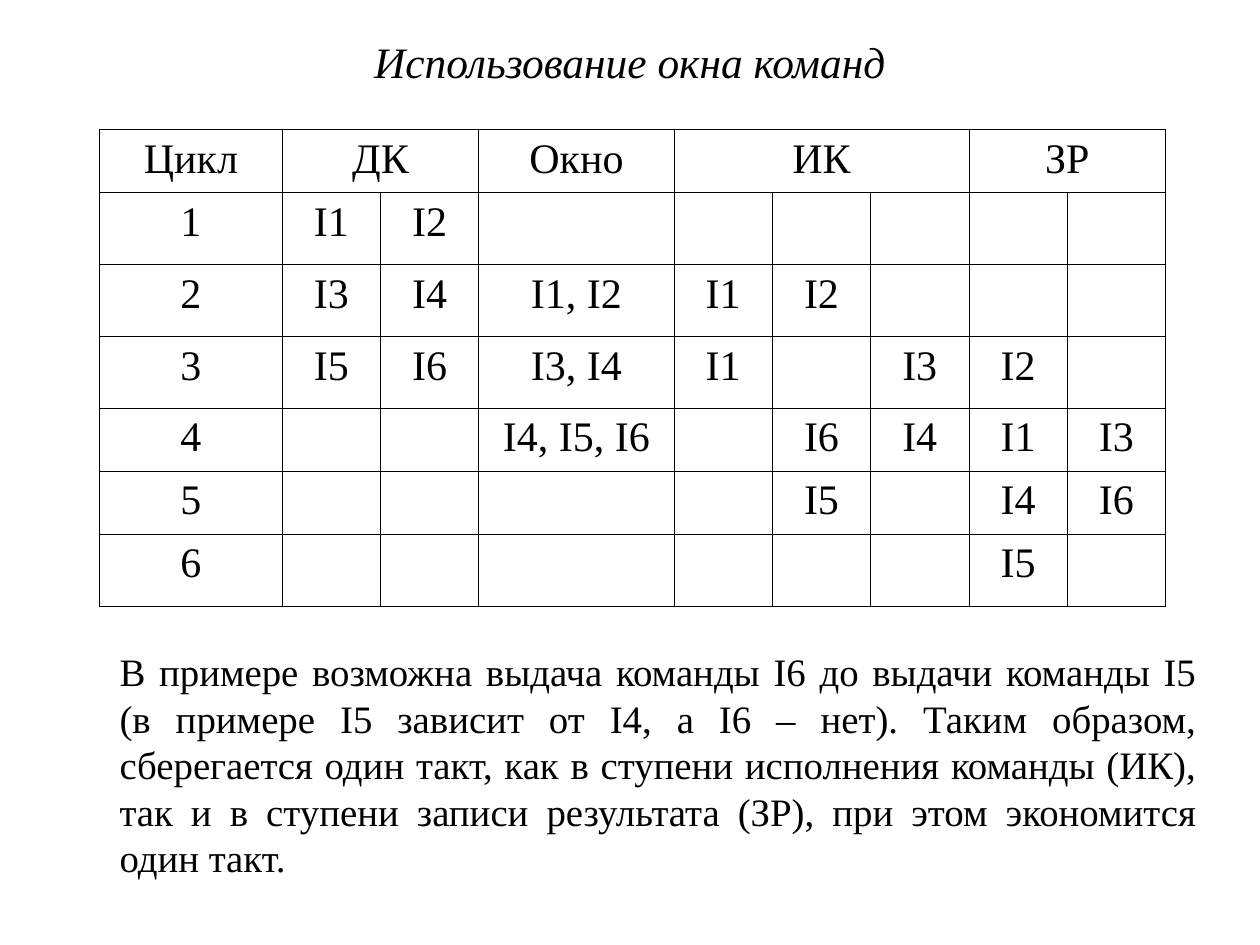
from pptx import Presentation
from pptx.dml.color import RGBColor
from pptx.enum.text import MSO_ANCHOR, PP_ALIGN
from pptx.oxml.ns import qn
from pptx.util import Inches, Pt
from lxml import etree

CENTER = PP_ALIGN.CENTER
JUSTIFY = PP_ALIGN.JUSTIFY
MIDDLE = MSO_ANCHOR.MIDDLE
TOP = MSO_ANCHOR.TOP

BLACK = RGBColor(0, 0, 0)
FONT_NAME = "Times New Roman"
BORDER_WIDTH = Pt(0.45)

TITLE = "Использование окна команд"
CONCLUSION = (
    "В примере возможна выдача команды I6 до выдачи команды I5 "
    "(в примере I5 зависит от I4, а I6 – нет). Таким образом, "
    "сберегается один такт, как в ступени исполнения команды (ИК), "
    "так и в ступени записи результата (ЗР), при этом экономится один такт."
)

STAGES = [("Цикл", 1), ("ДК", 2), ("Окно", 1), ("ИК", 3), ("ЗР", 2)]
CYCLES = [
    ["1", "I1", "I2", "", "", "", "", "", ""],
    ["2", "I3", "I4", "I1, I2", "I1", "I2", "", "", ""],
    ["3", "I5", "I6", "I3, I4", "I1", "", "I3", "I2", ""],
    ["4", "", "", "I4, I5, I6", "", "I6", "I4", "I1", "I3"],
    ["5", "", "", "", "", "I5", "", "I4", "I6"],
    ["6", "", "", "", "", "", "", "I5", ""],
]
SLOT_WIDTH = 0.78
COLUMN_WIDTHS = [1.45] + [SLOT_WIDTH] * 2 + [1.55] + [SLOT_WIDTH] * 5
ROW_HEIGHTS = [0.5, 0.57, 0.57, 0.57, 0.5, 0.5, 0.57]


def write_text(frame, text, size=24, align=CENTER, italic=False, indent=0):
    paragraph = frame.paragraphs[0]
    paragraph.alignment = align
    if indent:
        properties = paragraph._p.get_or_add_pPr()
        properties.set("marL", str(Inches(indent)))
        properties.set("indent", "0")
    run = paragraph.add_run()
    run.text = text
    run.font.name = FONT_NAME
    run.font.size = Pt(size)
    run.font.italic = italic
    run.font.color.rgb = BLACK


def add_text_region(slide, box, text, anchor=TOP, **text_format):
    frame = slide.shapes.add_textbox(*map(Inches, box)).text_frame
    frame.word_wrap = True
    frame.vertical_anchor = anchor
    write_text(frame, text, **text_format)


def outline_cell(cell):
    properties = cell._tc.get_or_add_tcPr()
    for side in ("lnL", "lnR", "lnT", "lnB"):
        line = etree.SubElement(properties, qn(f"a:{side}"), w=str(BORDER_WIDTH))
        fill = etree.SubElement(line, qn("a:solidFill"))
        etree.SubElement(fill, qn("a:srgbClr"), val=str(BLACK))
    cell.fill.background()


def add_cycle_table(slide, box):
    table = slide.shapes.add_table(
        len(ROW_HEIGHTS), len(COLUMN_WIDTHS), *map(Inches, box)
    ).table
    table.first_row = False
    table.horz_banding = False
    for column, width in zip(table.columns, COLUMN_WIDTHS):
        column.width = Inches(width)
    for row, height in zip(table.rows, ROW_HEIGHTS):
        row.height = Inches(height)
    for cell in table.iter_cells():
        outline_cell(cell)

    first = 0
    for stage, span in STAGES:
        heading = table.cell(0, first)
        if span > 1:
            heading.merge(table.cell(0, first + span - 1))
        write_text(heading.text_frame, stage)
        first += span

    for row_index, commands in enumerate(CYCLES, start=1):
        for column_index, command in enumerate(commands):
            if command:
                write_text(table.cell(row_index, column_index).text_frame, command)


def main():
    presentation = Presentation()
    presentation.slide_width = Inches(10)
    presentation.slide_height = Inches(7.5)
    slide = presentation.slides.add_slide(presentation.slide_layouts[6])

    add_text_region(slide, (0, 0.21, 10, 0.55), TITLE,
                    anchor=MIDDLE, size=24.8, italic=True)
    add_cycle_table(slide, (0.79, 1.03, sum(COLUMN_WIDTHS), sum(ROW_HEIGHTS)))
    add_text_region(slide, (0.35, 5.09, 9.25, 2.05), CONCLUSION,
                    size=22.2, align=JUSTIFY, indent=0.5)

    presentation.save("out.pptx")


if __name__ == "__main__":
    main()
